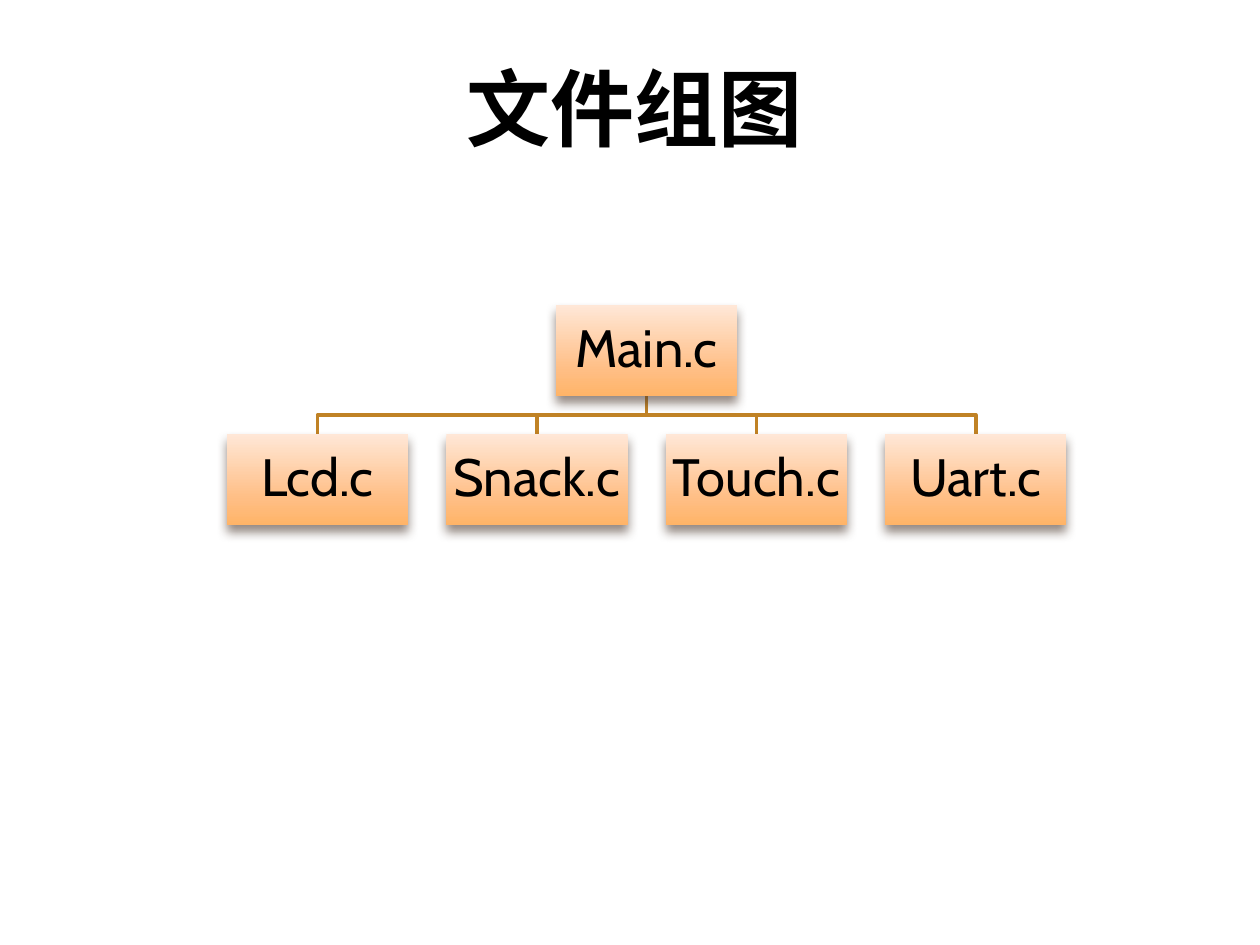
from dataclasses import dataclass

from pptx import Presentation
from pptx.dml.color import RGBColor
from pptx.enum.shapes import MSO_SHAPE as Preset
from pptx.enum.text import MSO_ANCHOR as Anchor, PP_ALIGN as Align
from pptx.oxml import parse_xml
from pptx.oxml.ns import nsdecls
from pptx.util import Pt


@dataclass(frozen=True)
class Theme:
    font: str = "Cabin"
    text: str = "000000"
    branch: str = "C08225"
    shadow: str = "4E3B30"
    gradient: tuple = ((0, "FFE7D7"), (72, "FFBE84"), (100, "FFB468"))
    title_size: int = 48
    box_size: int = 30


class FileChart:
    def __init__(self, slide, theme):
        self.slide = slide
        self.theme = theme

    def add_words(self, frame, words, size, bold=False):
        paragraph = frame.paragraphs[0]
        paragraph.alignment = Align.CENTER
        run = paragraph.add_run()
        run.text = words
        run.font.name = self.theme.font
        run.font.size = Pt(size)
        run.font.bold = bold
        run.font.color.rgb = RGBColor.from_string(self.theme.text)
        return paragraph

    def title(self, words, left, top, width, height):
        heading = self.slide.shapes.title
        heading.left, heading.top = Pt(left), Pt(top)
        heading.width, heading.height = Pt(width), Pt(height)
        heading.text_frame.vertical_anchor = Anchor.TOP
        self.add_words(heading.text_frame, words, self.theme.title_size, bold=True)

    def branch(self, start_x, start_y, end_x, end_y):
        """Draw an open line that goes down, across and down again."""
        middle_y = (start_y + end_y) / 2
        bends = [(start_x, middle_y), (end_x, middle_y), (end_x, end_y)]
        builder = self.slide.shapes.build_freeform(Pt(start_x), Pt(start_y))
        builder.add_line_segments([(Pt(x), Pt(y)) for x, y in bends], close=False)
        elbow = builder.convert_to_shape()
        elbow.shadow.inherit = False
        elbow.fill.background()
        elbow.line.width = Pt(2)
        elbow.line.color.rgb = RGBColor.from_string(self.theme.branch)

    def file_box(self, file_name, left, top, width, height):
        box = self.slide.shapes.add_shape(
            Preset.RECTANGLE, Pt(left), Pt(top), Pt(width), Pt(height))
        box.line.fill.background()
        self.shade(box)
        frame = box.text_frame
        frame.word_wrap = True
        frame.vertical_anchor = Anchor.MIDDLE
        frame.margin_left = frame.margin_right = Pt(1.5)
        frame.margin_top = frame.margin_bottom = Pt(1.5)
        self.add_words(frame, file_name, self.theme.box_size).line_spacing = 0.9

    def shade(self, box):
        """Give a box its downward gradient and its soft shadow."""
        stops = "".join(
            f'<a:gs pos="{share * 1000}"><a:srgbClr val="{colour}"/></a:gs>'
            for share, colour in self.theme.gradient)
        properties = box.element.spPr
        properties.insert(2, parse_xml(
            f'<a:gradFill {nsdecls("a")} rotWithShape="1"><a:gsLst>{stops}</a:gsLst>'
            '<a:lin ang="5400000" scaled="0"/></a:gradFill>'))
        properties.append(parse_xml(
            f'<a:effectLst {nsdecls("a")}>'
            f'<a:outerShdw blurRad="{Pt(6)}" dist="{Pt(4)}" dir="5400000" rotWithShape="0">'
            f'<a:srgbClr val="{self.theme.shadow}"><a:alpha val="60000"/></a:srgbClr>'
            '</a:outerShdw></a:effectLst>'))


def main():
    presentation = Presentation()
    presentation.slide_width, presentation.slide_height = Pt(720), Pt(540)
    slide = presentation.slides.add_slide(presentation.slide_layouts[5])
    chart = FileChart(slide, Theme())
    chart.title("文件组图", 190, 28.8, 345.6, 65.5)

    modules = ["Lcd.c", "Snack.c", "Touch.c", "Uart.c"]
    box_width, box_height = 103.6, 51.8
    first_left, pitch = 129.6, 125.4
    main_top, module_top = 174.4, 248
    lefts = [first_left + pitch * column for column in range(len(modules))]
    main_left = (lefts[0] + lefts[-1]) / 2
    half = box_width / 2

    for left in reversed(lefts):
        chart.branch(main_left + half, main_top + box_height, left + half, module_top)
    chart.file_box("Main.c", main_left, main_top, box_width, box_height)
    for module, left in zip(modules, lefts):
        chart.file_box(module, left, module_top, box_width, box_height)

    presentation.save("out.pptx")


if __name__ == "__main__":
    main()
